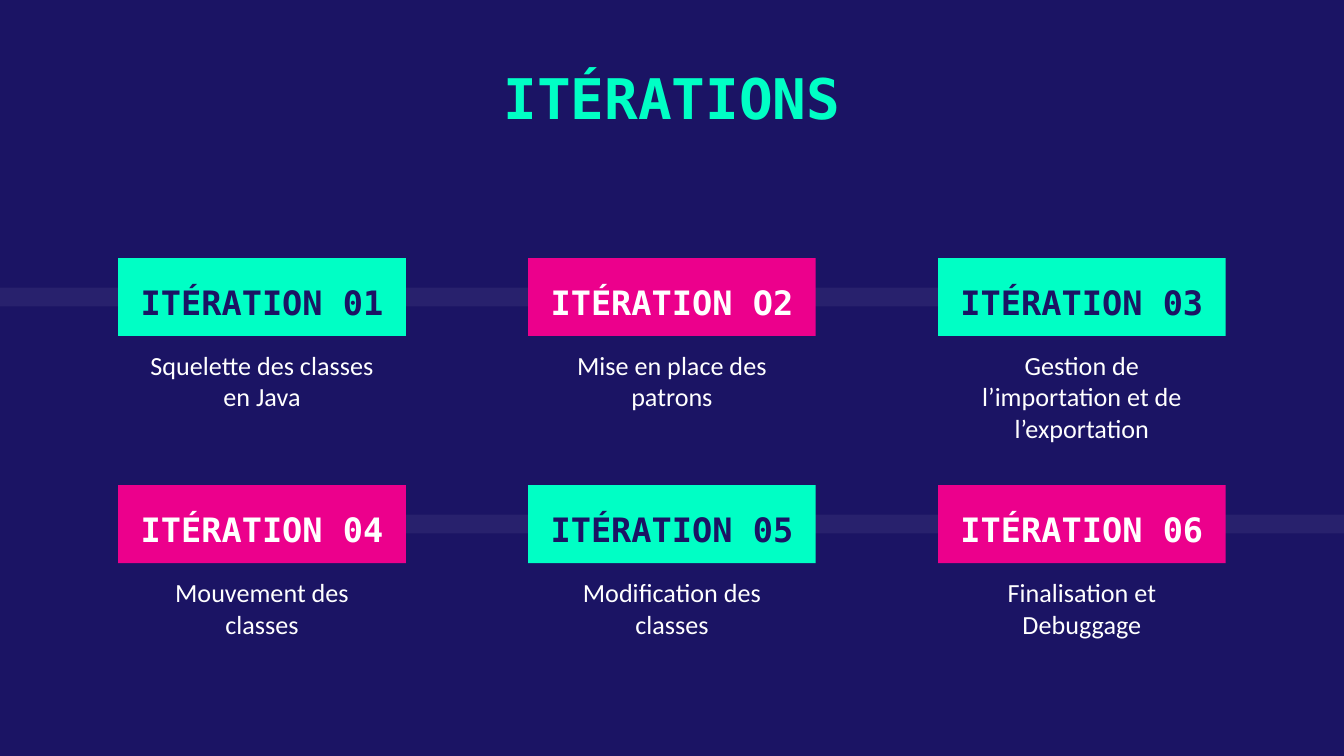
import pptx
import pptx.dml.color
import pptx.enum.shapes
import pptx.enum.text
import pptx.oxml.ns
import pptx.util
from lxml import etree

NAVY, MINT, PINK, WHITE = "1B1464", "00FFC5", "EC008C", "FFFFFF"
HEADING_FONT, BODY_FONT = "DejaVu Sans Mono", "Calibri"

SLIDE_W = 10
SLIDE_H = SLIDE_W * 9 / 16
CARD_W, LABEL_H, DETAIL_H = 2.14, 0.58, 0.73
LEFT, COLUMN_STEP = 0.88, 3.05
TOP, ROW_STEP = 1.92, 1.69
COLUMNS = 3
BAND_H = 0.14
BAND_SPANS = [(0, 8.52), (1.02, SLIDE_W)]

ITERATIONS = [
    ("ITÉRATION 01", "Squelette des classes en Java"),
    ("ITÉRATION O2", "Mise en place des patrons"),
    ("ITÉRATION 03", "Gestion de l’importation et de l’exportation"),
    ("ITÉRATION 04", "Mouvement des classes"),
    ("ITÉRATION 05", "Modification des classes"),
    ("ITÉRATION 06", "Finalisation et Debuggage"),
]


def set_color(target, value):
    """Colour a fill (made solid first) or a font."""
    if hasattr(target, "solid"):
        target.solid()
        target.fore_color.rgb = pptx.dml.color.RGBColor.from_string(value)
    else:
        target.color.rgb = pptx.dml.color.RGBColor.from_string(value)


def inches(box):
    return [pptx.util.Inches(length) for length in box]


def add_rectangle(slide, box, color):
    rectangle = slide.shapes.add_shape(
        pptx.enum.shapes.MSO_SHAPE.RECTANGLE, *inches(box))
    rectangle.shadow.inherit = False
    set_color(rectangle.fill, color)
    rectangle.line.fill.background()
    return rectangle


def write(shape, text, font, size, color, bold=False, anchor="TOP"):
    """Put one centred paragraph in a shape with even margins."""
    frame = shape.text_frame
    frame.word_wrap = True
    frame.vertical_anchor = getattr(pptx.enum.text.MSO_ANCHOR, anchor)
    for side in ("left", "top", "right", "bottom"):
        setattr(frame, f"margin_{side}", pptx.util.Inches(0.1))
    paragraph = frame.paragraphs[0]
    paragraph.text = text
    paragraph.alignment = pptx.enum.text.PP_ALIGN.CENTER
    paragraph.font.name = font
    paragraph.font.size = pptx.util.Pt(size)
    paragraph.font.bold = bold
    set_color(paragraph.font, color)


def add_title(slide, box, text):
    title = slide.shapes.add_textbox(*inches(box))
    write(title, text, HEADING_FONT, 30, MINT, bold=True)


def add_band(slide, box):
    """Add the faint strip that runs behind a row of labels."""
    band = add_rectangle(slide, box, WHITE)
    color = band.element.spPr.find(".//" + pptx.oxml.ns.qn("a:srgbClr"))
    etree.SubElement(color, pptx.oxml.ns.qn("a:alpha"), val="6000")


def add_iteration(slide, box, label_text, detail_text, fill, ink):
    """Add a coloured label with its description underneath."""
    left, top, width, height = box
    inset = 0.03
    detail = slide.shapes.add_textbox(*inches(
        (left + inset, top + LABEL_H, width - 2 * inset, height - LABEL_H)))
    write(detail, detail_text, BODY_FONT, 14, WHITE)
    label = add_rectangle(slide, (left, top, width, LABEL_H), fill)
    write(label, label_text, HEADING_FONT, 18, ink, bold=True, anchor="BOTTOM")


def main():
    deck = pptx.Presentation()
    deck.slide_width, deck.slide_height = inches((SLIDE_W, SLIDE_H))
    slide = deck.slides.add_slide(deck.slide_layouts[6])
    set_color(slide.background.fill, NAVY)

    for row, (start, end) in enumerate(BAND_SPANS):
        band_top = TOP + row * ROW_STEP + (LABEL_H - BAND_H) / 2
        add_band(slide, (start, band_top, end - start, BAND_H))

    add_title(slide, (1.4, 0.37, SLIDE_W - 2 * 1.4, 0.73), "ITÉRATIONS")

    for index, (label, detail) in enumerate(ITERATIONS):
        row, column = divmod(index, COLUMNS)
        fill, ink = (PINK, WHITE) if index % 2 else (MINT, NAVY)
        box = (LEFT + column * COLUMN_STEP, TOP + row * ROW_STEP,
               CARD_W, LABEL_H + DETAIL_H)
        add_iteration(slide, box, label, detail, fill, ink)

    deck.save("out.pptx")


if __name__ == "__main__":
    main()
